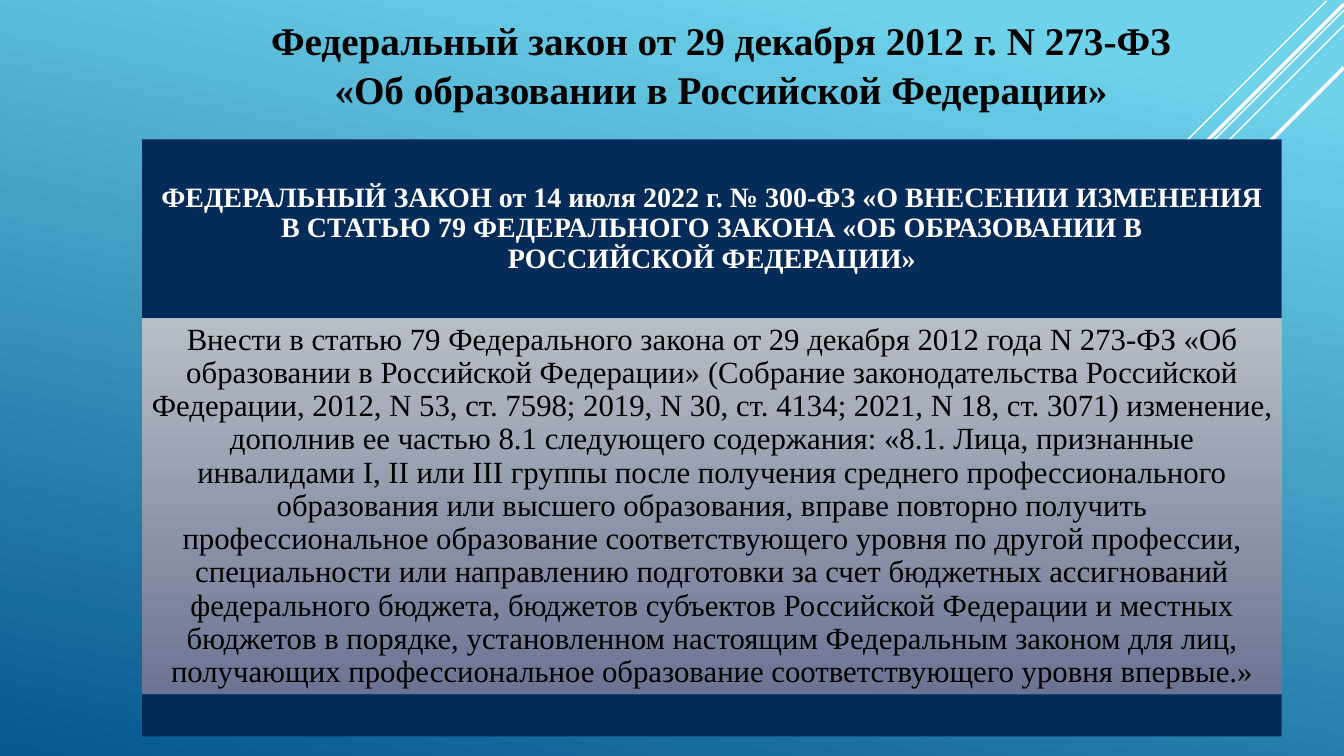
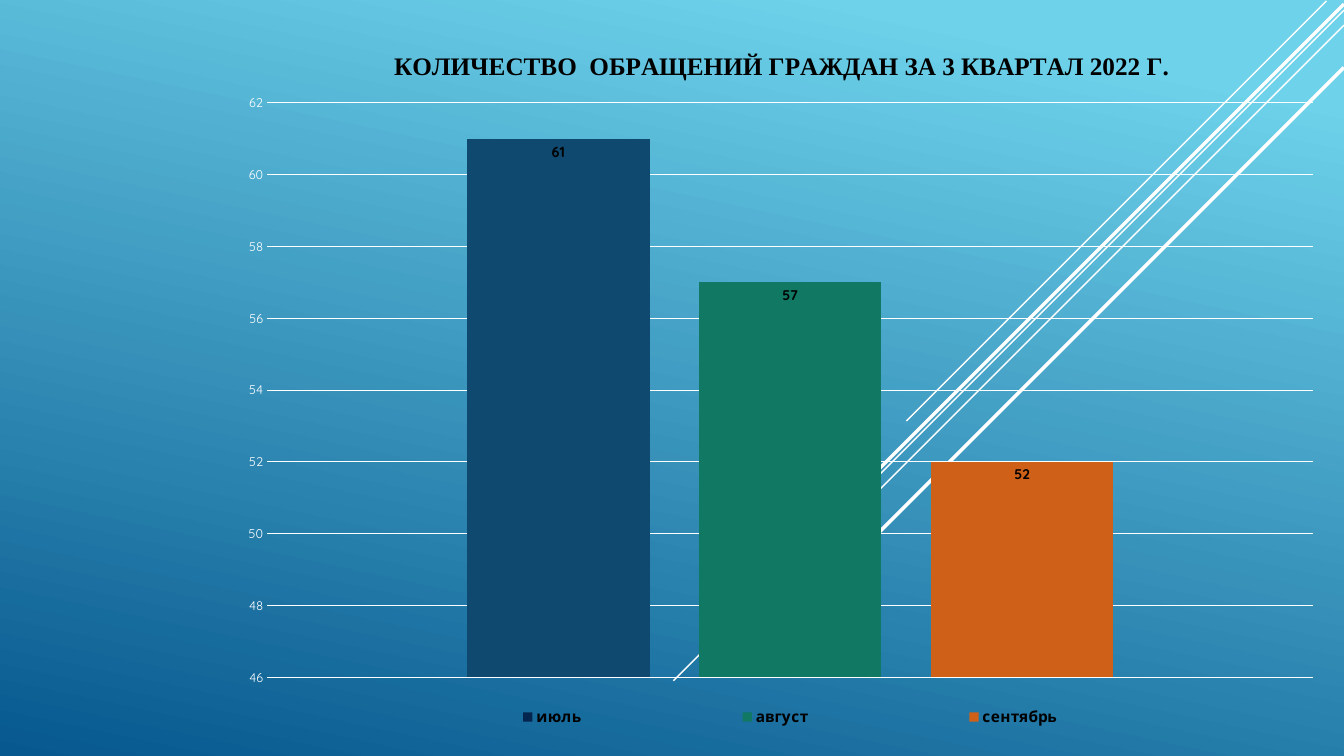
from lxml import etree
from pptx import Presentation
from pptx.chart.data import CategoryChartData
from pptx.dml.color import RGBColor
from pptx.enum import chart as ch, shapes, text
from pptx.oxml import ns
from pptx.util import Pt

WHITE, BLACK, NAVY = "FFFFFF", "000000", "052B58"
SERIF, SANS = "Times New Roman", "Quicksand"
BACKDROP = [(0.1, "6ED2EB"), (1, "06588E")]
PANEL = [(0, "B8BEC6"), (1, "6C7493")]
RAYS = [
    (947.5, 0.7, 300, 1),
    (960, 7.2, 479, 1),
    (960, 18, 390, 1),
    (960, 2.9, 382, 2.5),
    (960, 48.2, 342, 2.5),
]
LAW_TITLE = "Федеральный закон от 29 декабря 2012 г. N 273-ФЗ\v«Об образовании в Российской Федерации»"
AMENDMENT = (
    "ФЕДЕРАЛЬНЫЙ ЗАКОН от 14 июля 2022 г. № 300-ФЗ «О ВНЕСЕНИИ ИЗМЕНЕНИЯ "
    "В СТАТЬЮ 79 ФЕДЕРАЛЬНОГО ЗАКОНА «ОБ ОБРАЗОВАНИИ В\n"
    "РОССИЙСКОЙ ФЕДЕРАЦИИ»"
)
PROVISION = [
    "Внести в статью 79 Федерального закона от 29 декабря 2012 года N 273-ФЗ "
    "«Об образовании в Российской Федерации» (Собрание законодательства Российской "
    "Федерации, 2012, N 53, ст. 7598; 2019, N 30, ст. 4134; 2021, N 18, ст. 3071) "
    "изменение, дополнив ее частью 8.1 следующего содержания:",
    "«8.1. Лица, признанные "
    "инвалидами I, II или III группы после получения среднего профессионального "
    "образования или высшего образования, вправе повторно получить профессиональное "
    "образование соответствующего уровня по другой профессии, специальности или "
    "направлению подготовки за счет бюджетных ассигнований федерального бюджета, "
    "бюджетов субъектов Российской Федерации и местных бюджетов в порядке, "
    "установленном настоящим Федеральным законом для лиц, получающих профессиональное "
    "образование соответствующего уровня впервые.»",
]
CHART_TITLE = "КОЛИЧЕСТВО  ОБРАЩЕНИЙ ГРАЖДАН ЗА 3 КВАРТАЛ 2022 Г."
MONTHS = [("июль", 61, "04264E"), ("август", 57, "107863"), ("сентябрь", 52, "CE6018")]
JULY_BAR = "0F496F"


def rgb(value):
    return RGBColor.from_string(value)


def set_solid(fill, color):
    fill.solid()
    fill.fore_color.rgb = rgb(color)


def set_gradient(fill, stops, clockwise):
    fill.gradient()
    fill.gradient_angle = 360 - clockwise
    for stop, (position, color) in zip(fill.gradient_stops, stops):
        stop.position = position
        stop.color.rgb = rgb(color)


def set_font(font, name, size, color, bold=False):
    font.name = name
    font.size = Pt(size)
    font.bold = bold
    font.color.rgb = rgb(color)


def set_text(tf, content, size, color, bold, spacing, inset):
    tf.text = content
    tf.word_wrap = True
    tf.margin_left = tf.margin_right = tf.margin_top = tf.margin_bottom = Pt(inset)
    for p in tf.paragraphs:
        p.alignment = text.PP_ALIGN.CENTER
        p.line_spacing = spacing
        for r in p.runs:
            set_font(r.font, SERIF, size, color, bold)


def add_ray(s, x, y, reach, width):
    ray = s.shapes.add_connector(
        shapes.MSO_CONNECTOR.STRAIGHT, Pt(x), Pt(y), Pt(x - reach), Pt(y + reach)
    )
    ray.line.color.rgb = rgb(WHITE)
    ray.line.width = Pt(width)
    etree.SubElement(ray.element.spPr, ns.qn("a:effectLst"))


def add_slide(prs):
    s = prs.slides.add_slide(prs.slide_layouts[6])
    for ray in RAYS:
        add_ray(s, *ray)
    return s


def add_band(s, top, height):
    sp = s.shapes.add_shape(
        shapes.MSO_SHAPE.RECTANGLE, Pt(101.5), Pt(top), Pt(814), Pt(height)
    )
    sp.shadow.inherit = False
    sp.line.fill.background()
    set_solid(sp.fill, NAVY)
    sp.text_frame.vertical_anchor = text.MSO_ANCHOR.MIDDLE
    return sp


def set_layout(parent, index, target=None, **fractions):
    for old in parent.findall(ns.qn("c:layout")):
        parent.remove(old)
    layout = etree.Element(ns.qn("c:layout"))
    manual = etree.SubElement(layout, ns.qn("c:manualLayout"))
    values = {"xMode": "edge", "yMode": "edge", **fractions}
    if target:
        values = {"layoutTarget": target, **values}
    for tag, value in values.items():
        etree.SubElement(manual, ns.qn("c:" + tag)).set("val", str(value))
    parent.insert(index, layout)


def style_value_axis(axis):
    axis.minimum_scale, axis.maximum_scale, axis.major_unit = 46, 62, 2
    axis.major_tick_mark = axis.minor_tick_mark = ch.XL_TICK_MARK.NONE
    axis.format.line.fill.background()
    axis.has_major_gridlines = True
    grid = axis.major_gridlines.format.line
    grid.color.rgb = rgb(WHITE)
    grid.width = Pt(0.75)
    set_font(axis.tick_labels.font, SANS, 9, WHITE)


def add_month_chart(s):
    data = CategoryChartData()
    data.categories = ["1"]
    for name, count, _ in MONTHS:
        data.add_series(name, [count])
    chart = s.shapes.add_chart(
        ch.XL_CHART_TYPE.COLUMN_CLUSTERED, Pt(159), Pt(12), Pt(795), Pt(513), data
    ).chart
    set_font(chart.font, SANS, 10, WHITE)

    chart.has_title = True
    title = chart.chart_title
    title.text_frame.text = CHART_TITLE
    set_font(title.text_frame.paragraphs[0].runs[0].font, SERIF, 18, BLACK, True)
    title.include_in_layout = False

    chart.has_legend = True
    legend = chart.legend
    legend.position = ch.XL_LEGEND_POSITION.BOTTOM
    legend.include_in_layout = False
    set_font(legend.font, SANS, 11, BLACK, True)

    chart.category_axis.visible = False
    style_value_axis(chart.value_axis)

    plot = chart.plots[0]
    plot.vary_by_categories = False
    plot.gap_width = 219
    plot.overlap = -27
    for series, (_, _, color) in zip(plot.series, MONTHS):
        set_solid(series.format.fill, color)
        labels = series.data_labels
        labels.show_value = True
        labels.position = ch.XL_LABEL_POSITION.INSIDE_END
        set_font(labels.font, SANS, 10, BLACK, True)
    july = plot.series[0]
    july.data_labels.font.size = Pt(10.5)
    set_solid(july.points[0].format.fill, JULY_BAR)

    root = chart.element.find(ns.qn("c:chart"))
    set_layout(root.find(ns.qn("c:title")), 1, x=0.15, y=0.04)
    set_layout(
        root.find(ns.qn("c:plotArea")), 0, "inner", x=0.04, y=0.12, w=0.94, h=0.8
    )
    set_layout(root.find(ns.qn("c:legend")), 1, x=0.13, y=0.95, w=0.76, h=0.05)


def build_law_slide(prs):
    s = add_slide(prs)
    title = s.shapes.add_textbox(Pt(132.5), Pt(6), Pt(765), Pt(87))
    set_text(title.text_frame, LAW_TITLE, 28, BLACK, True, 1.05, 4)
    heading = add_band(s, 99.5, 128)
    set_text(heading.text_frame, AMENDMENT, 20, WHITE, True, 0.9, 6)
    body = add_band(s, 227.5, 268.5)
    set_gradient(body.fill, PANEL, 90)
    set_text(body.text_frame, " ".join(PROVISION), 22, BLACK, False, 0.9, 6.5)
    add_band(s, 496, 30)


def main():
    prs = Presentation()
    prs.slide_width, prs.slide_height = Pt(960), Pt(540)
    set_gradient(prs.slide_master.background.fill, BACKDROP, 102)
    build_law_slide(prs)
    add_month_chart(add_slide(prs))
    prs.save("out.pptx")


if __name__ == "__main__":
    main()
